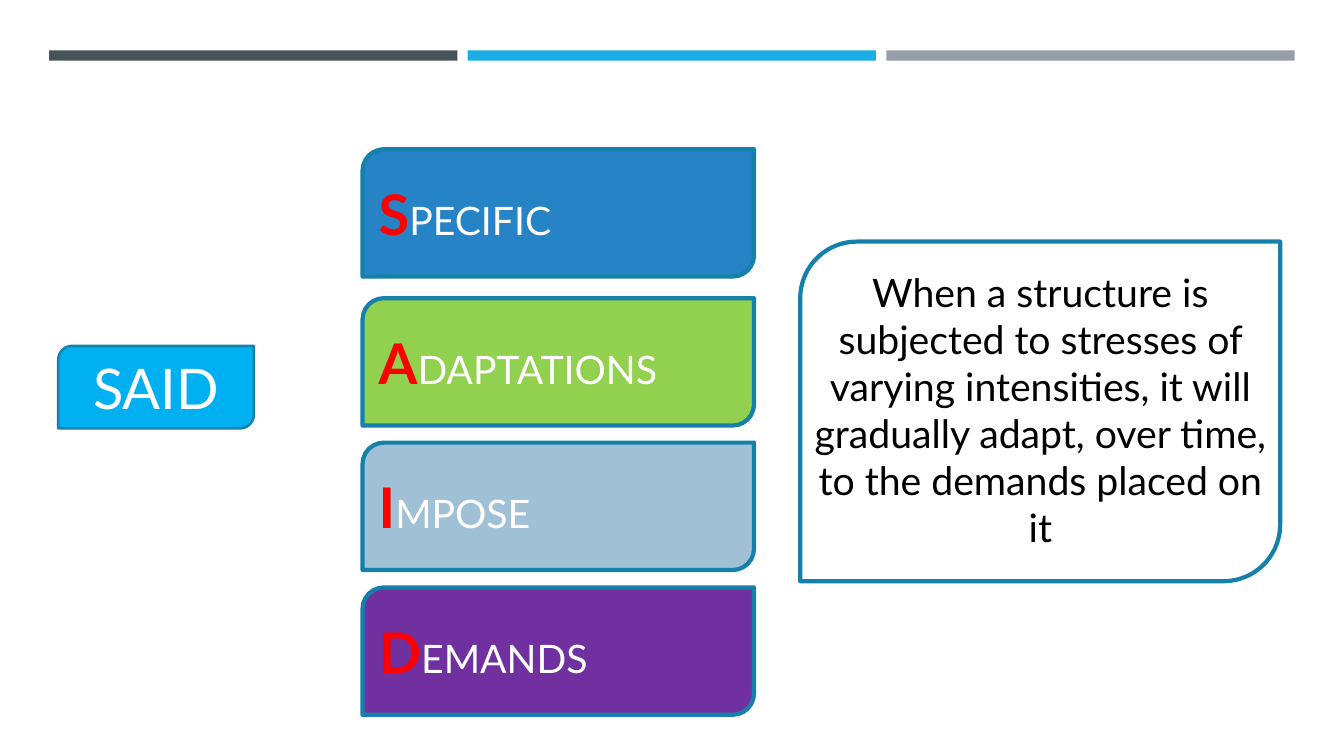
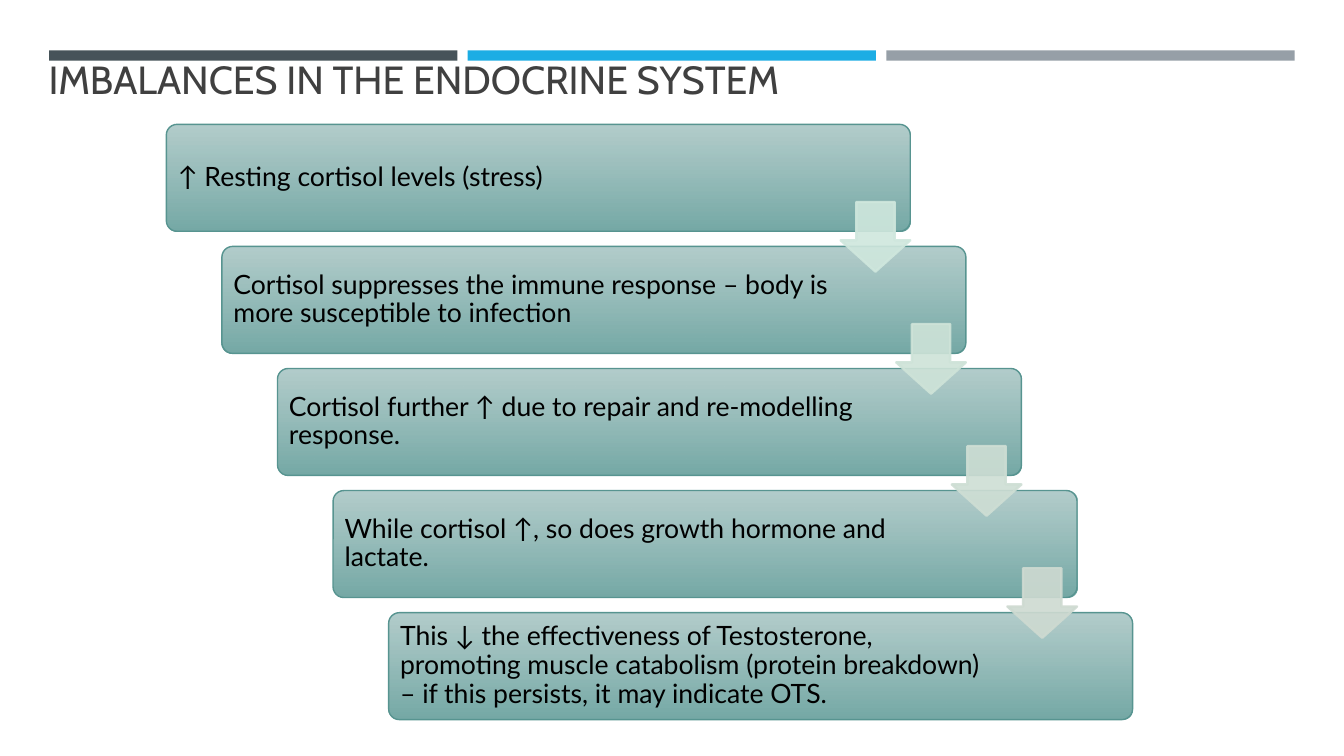
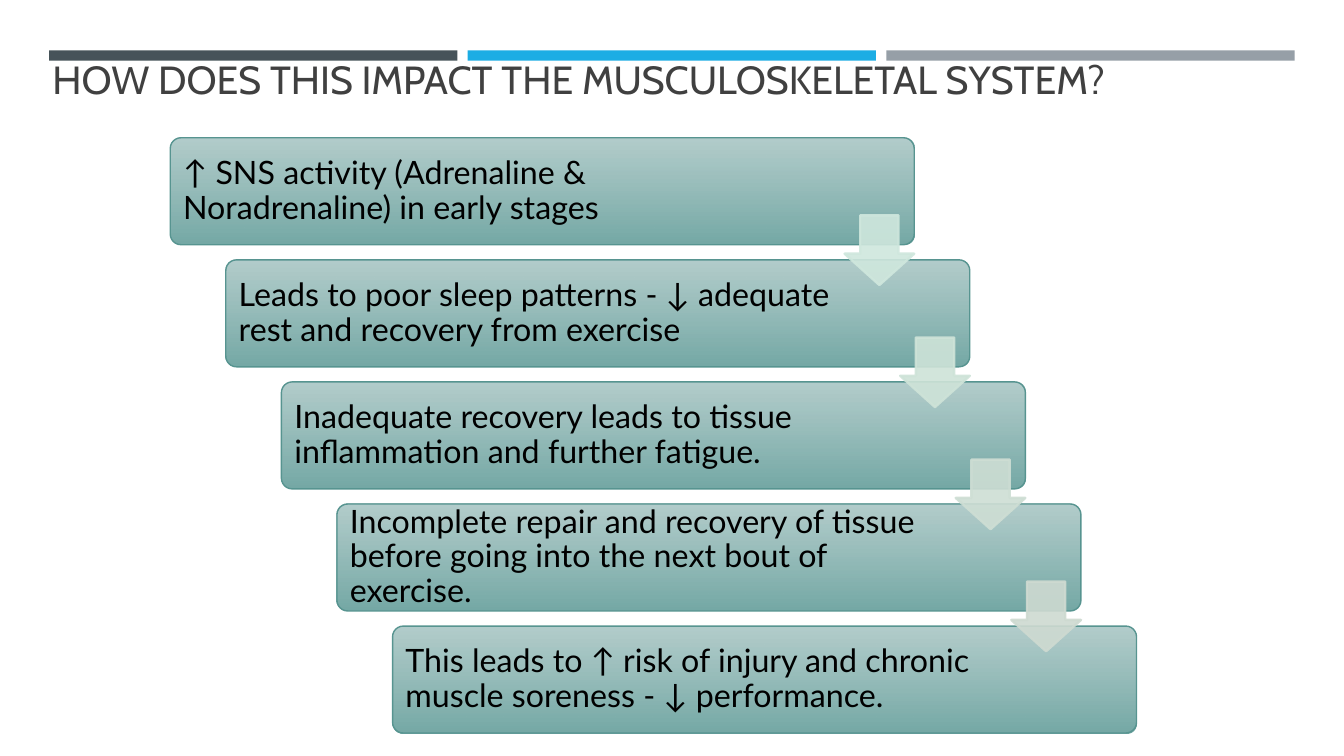
import dataclasses

import lxml.etree
import pptx
import pptx.dml.color
import pptx.enum.shapes
import pptx.enum.text
import pptx.oxml.ns
import pptx.util

Pt = pptx.util.Pt
MSO_SHAPE = pptx.enum.shapes.MSO_SHAPE
PP_ALIGN = pptx.enum.text.PP_ALIGN
MSO_ANCHOR = pptx.enum.text.MSO_ANCHOR
MSO_AUTO_SIZE = pptx.enum.text.MSO_AUTO_SIZE

TITLE_ONLY, BLANK = 5, 6


@dataclasses.dataclass(frozen=True)
class Theme:
    heading_font: str = "Cabin"
    body_font: str = "Lato"
    title_size: int = 28
    initial_size: int = 40
    word_size: int = 28
    title_ink: str = "404040"
    ink: str = "000000"
    light_ink: str = "FFFFFF"
    initial_ink: str = "FF0000"
    bands: tuple = ("465359", "1CADE4", "969FA7")
    outline: str = "1580A9"
    acronym_fill: str = "00B0F0"
    step_top: str = "AAC7C5"
    step_bottom: str = "75A9A6"
    step_outline: str = "579490"
    arrows: tuple = ("CFE7DD", "CEE3D8", "CEDED4", "CEDAD1")


def rgb(code):
    return pptx.dml.color.RGBColor.from_string(code)


def fade(colour, percent):
    """Set the opacity of one colour element."""
    alpha = lxml.etree.SubElement(colour, pptx.oxml.ns.qn("a:alpha"))
    alpha.set("val", str(percent * 1000))


def colours_of(shape):
    return list(shape.element.spPr.iter(pptx.oxml.ns.qn("a:srgbClr")))


class Deck:
    """Holds the theme, the presentation and the current slide."""

    def __init__(self, theme):
        self.theme = theme
        self.presentation = pptx.Presentation()
        self.presentation.slide_width = Pt(960)
        self.presentation.slide_height = Pt(540)
        self.slide = None

    def start(self, layout):
        self.slide = self.presentation.slides.add_slide(self.presentation.slide_layouts[layout])

    def bands(self):
        """Draw the three bands and move them to the slide master."""
        master_tree = self.presentation.slide_master.shapes.element
        for index, colour in enumerate(self.theme.bands):
            band = self.shape(MSO_SHAPE.RECTANGLE, 35.1 + index * 299, 36, 291.6, 7.4, colour)
            band.element.nvSpPr.cNvPr.set("id", str(101 + index))
            master_tree.insert(2 + index, band.element)

    def shape(self, kind, left, top, width, height, fill=None, outline=None, weight=1.0):
        shape = self.slide.shapes.add_shape(kind, Pt(left), Pt(top), Pt(width), Pt(height))
        shape.shadow.inherit = False
        if fill:
            shape.fill.solid()
            shape.fill.fore_color.rgb = rgb(fill)
        else:
            shape.fill.background()
        if outline:
            shape.line.color.rgb = rgb(outline)
            shape.line.width = Pt(weight)
        else:
            shape.line.fill.background()
        return shape

    def add_text(self, frame, runs, align=PP_ALIGN.LEFT, anchor=MSO_ANCHOR.MIDDLE, font=None):
        """Fill a frame with one paragraph of (text, size, colour, bold) runs."""
        frame.word_wrap = True
        frame.vertical_anchor = anchor
        paragraph = frame.paragraphs[0]
        paragraph.alignment = align
        for text, size, colour, bold in runs:
            run = paragraph.add_run()
            run.text = text
            run.font.name = font or self.theme.body_font
            run.font.size = Pt(size)
            run.font.bold = bold
            run.font.color.rgb = rgb(colour)
        return paragraph

    def title(self, text, left, width):
        title = self.slide.shapes.title
        title.left, title.top, title.width, title.height = Pt(left), Pt(-31), Pt(width), Pt(108)
        theme = self.theme
        self.add_text(title.text_frame, [(text, theme.title_size, theme.title_ink, False)],
                      anchor=MSO_ANCHOR.BOTTOM, font=theme.heading_font)
        title.text_frame.auto_size = MSO_AUTO_SIZE.NONE

    def leaf(self, left, top, width, height, fill=None, weight=3.0):
        """Draw a rectangle with two opposite rounded corners."""
        return self.shape(MSO_SHAPE.ROUND_2_DIAG_RECTANGLE, left, top, width, height,
                          fill, self.theme.outline, weight)

    def acronym(self, text):
        leaf = self.leaf(41.6, 247, 139.8, 59, self.theme.acronym_fill, 1.75)
        self.add_text(leaf.text_frame,
                      [(text, self.theme.initial_size, self.theme.light_ink, False)],
                      PP_ALIGN.CENTER)

    def word(self, text, top, fill):
        theme = self.theme
        leaf = self.leaf(259, top, 279.6, 91, fill)
        self.add_text(leaf.text_frame, [(text[0], theme.initial_size, theme.initial_ink, True),
                                        (text[1:], theme.word_size, theme.light_ink, False)])

    def definition(self, text):
        self.leaf(571.6, 172.6, 342.8, 242.6)
        box = self.slide.shapes.add_textbox(Pt(567.4), Pt(188), Pt(351.4), Pt(177))
        self.add_text(box.text_frame, [(text, self.theme.word_size, self.theme.ink, False)],
                      PP_ALIGN.CENTER, MSO_ANCHOR.TOP)
        box.text_frame.auto_size = MSO_AUTO_SIZE.SHAPE_TO_FIT_TEXT

    def step(self, text, left, top, width, height, size, inset):
        theme = self.theme
        step = self.shape(MSO_SHAPE.ROUNDED_RECTANGLE, left, top, width, height,
                          outline=theme.step_outline)
        step.adjustments[0] = 0.1
        step.fill.gradient()
        step.fill.gradient_angle = 270
        for stop, colour in zip(step.fill.gradient_stops, (theme.step_top, theme.step_bottom)):
            stop.color.rgb = rgb(colour)
        fade(colours_of(step)[0], 90)
        frame = step.text_frame
        frame.margin_left, frame.margin_right = Pt(inset), Pt(89 + inset)
        frame.margin_top = frame.margin_bottom = 0
        self.add_text(frame, [(text, size, theme.ink, False)]).line_spacing = 0.9

    def arrow(self, left, top, side, colour):
        arrow = self.shape(MSO_SHAPE.DOWN_ARROW, left, top, side, side, colour, colour, 1.75)
        arrow.adjustments[0], arrow.adjustments[1] = 0.55, 0.45
        for element in colours_of(arrow):
            fade(element, 90)

    def staircase(self, steps, left, top, size, inset):
        """Draw descending steps, with an arrow from each to the next."""
        width, height, side = 531.4, 76.4, 49.7
        corners = [(left + 39.7 * index, top + 87.2 * index) for index in range(len(steps))]
        for text, (x, y) in zip(steps, corners):
            self.step(text, x, y, width, height, size, inset)
        for colour, (x, y) in zip(self.theme.arrows, corners):
            self.arrow(x + width - side, y + 55.5, side, colour)


def main():
    deck = Deck(Theme())

    deck.start(BLANK)
    deck.bands()
    deck.acronym("SAID")
    for text, top, fill in (("SPECIFIC", 106.6, "2683C6"), ("ADAPTATIONS", 213, "92D050"),
                            ("IMPOSE", 316.2, "A0C1D5"), ("DEMANDS", 419.6, "7030A0")):
        deck.word(text, top, fill)
    deck.definition("When a structure is subjected to stresses of varying intensities, "
                    "it will gradually adapt, over time, to the demands placed on it")

    deck.start(TITLE_ONLY)
    deck.title("IMBALANCES IN THE ENDOCRINE SYSTEM", 27.5, 720)
    deck.staircase((
        "↑ Resting cortisol levels (stress)",
        "Cortisol suppresses the immune response – body is more susceptible to infection",
        "Cortisol further ↑ due to repair and re-modelling response.",
        "While cortisol ↑, so does growth hormone and lactate.",
        "This ↓ the effectiveness of Testosterone, promoting muscle catabolism "
        "(protein breakdown) – if this persists, it may indicate OTS.",
    ), 118.8, 88.8, size=19, inset=6)

    deck.start(TITLE_ONLY)
    deck.title("HOW DOES THIS IMPACT THE MUSCULOSKELETAL SYSTEM?", 30.2, 924.5)
    deck.staircase((
        "↑ SNS activity (Adrenaline & Noradrenaline) in early stages",
        "Leads to poor sleep patterns - ↓ adequate rest and recovery from exercise",
        "Inadequate recovery leads to tissue inflammation and further fatigue.",
        "Incomplete repair and recovery of tissue before going into the next bout of exercise.",
        "This leads to ↑ risk of injury and chronic muscle soreness - ↓ performance.",
    ), 121.6, 98.4, size=23, inset=7)

    deck.presentation.save("out.pptx")


if __name__ == "__main__":
    main()
